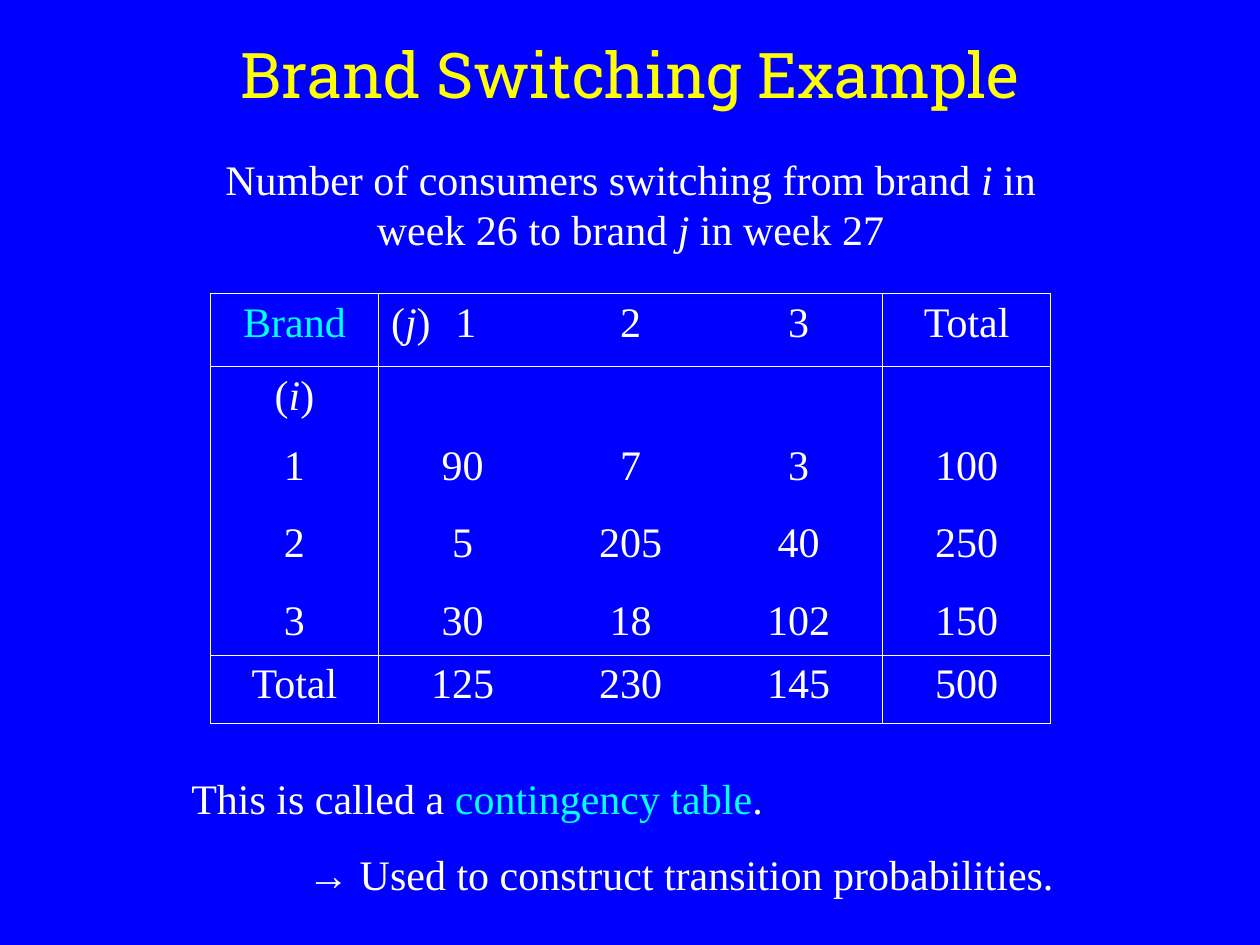
from dataclasses import dataclass

import pptx
import pptx.dml.color
import pptx.enum.text
import pptx.oxml
import pptx.oxml.ns
import pptx.util
from pptx.dml.color import RGBColor
from pptx.util import Inches

BLUE = RGBColor(0x00, 0x00, 0xFF)
YELLOW = RGBColor(0xFF, 0xFF, 0x00)
CYAN = RGBColor(0x00, 0xFF, 0xFF)
WHITE = RGBColor(0xFF, 0xFF, 0xFF)

LEFT = pptx.enum.text.PP_ALIGN.LEFT
CENTER = pptx.enum.text.PP_ALIGN.CENTER
NAMESPACE = pptx.oxml.ns.nsdecls("a")


@dataclass
class Piece:
    text: str
    italic: bool = False
    color: RGBColor = WHITE
    font: str = "Times New Roman"
    size: int = 24


@dataclass
class Line:
    pieces: list[Piece]
    alignment: int = CENTER
    space_before: int = 0
    indent: float = 0
    tab: float = 0


@dataclass
class TextBlock:
    left: float
    top: float
    width: float
    height: float
    lines: list[Line]


CAPTION = TextBlock(1.42, 1.17, 7.17, 0.9, [
    Line([
        Piece("Number of consumers switching from brand "),
        Piece("i", italic=True),
        Piece(" in week 26 to brand "),
        Piece("j", italic=True),
        Piece(" in week 27"),
    ]),
])
CONCLUSION = TextBlock(1.42, 6.08, 7.42, 1.11, [
    Line([
        Piece("This is called a "),
        Piece("contingency table", color=CYAN),
        Piece("."),
    ], LEFT),
    Line([
        Piece("→", font="Arial"),
        Piece(" Used to construct transition probabilities."),
    ], LEFT, space_before=15, indent=0.92),
])

BRAND_HEADER = Line([Piece("Brand", color=CYAN)])
TO_BRAND_HEADER = Line(
    [Piece("("), Piece("j", italic=True), Piece(")\t1")], LEFT, tab=0.51
)
FROM_BRAND_HEADER = Line([Piece("("), Piece("i", italic=True), Piece(")")])
SWITCHING_ROWS = [
    [BRAND_HEADER, TO_BRAND_HEADER, "2", "3", "Total"],
    [FROM_BRAND_HEADER, "", "", "", ""],
    ["1", "90", "7", "3", "100"],
    ["2", "5", "205", "40", "250"],
    ["3", "30", "18", "102", "150"],
    ["Total", "125", "230", "145", "500"],
]
ROW_HEIGHTS = [0.58, 0.56, 0.61, 0.62, 0.5, 0.54]
RULED_COLUMNS = {0, 1, 4, 5}
RULED_ROWS = {0, 1, 5, 6}


def write_line(paragraph, line: Line) -> None:
    properties = paragraph._p.get_or_add_pPr()
    if line.indent:
        properties.set("marL", str(Inches(line.indent)))
    if line.tab:
        properties.append(pptx.oxml.parse_xml(
            f'<a:tabLst {NAMESPACE}><a:tab pos="{Inches(line.tab)}" algn="l"/></a:tabLst>'
        ))
    paragraph.alignment = line.alignment
    paragraph.space_before = pptx.util.Pt(line.space_before)
    for piece in line.pieces:
        run = paragraph.add_run()
        run.text = piece.text
        font_format = {
            "name": piece.font,
            "size": pptx.util.Pt(piece.size),
            "italic": piece.italic,
        }
        for attribute, value in font_format.items():
            setattr(run.font, attribute, value)
        run.font.color.rgb = piece.color


def add_text_block(slide, block: TextBlock) -> None:
    shape = slide.shapes.add_textbox(
        Inches(block.left), Inches(block.top), Inches(block.width), Inches(block.height)
    )
    frame = shape.text_frame
    frame.word_wrap = True
    frame.auto_size = pptx.enum.text.MSO_AUTO_SIZE.SHAPE_TO_FIT_TEXT
    for index, line in enumerate(block.lines):
        paragraph = frame.add_paragraph() if index else frame.paragraphs[0]
        write_line(paragraph, line)


def rule_cell(cell, row: int, column: int) -> None:
    """Draw the cell edges that lie on a ruled row or column boundary."""
    edges = {
        "lnL": column in RULED_COLUMNS,
        "lnR": column + 1 in RULED_COLUMNS,
        "lnT": row in RULED_ROWS,
        "lnB": row + 1 in RULED_ROWS,
    }
    solid = f'<a:solidFill><a:srgbClr val="{WHITE}"/></a:solidFill>'
    properties = cell._tc.get_or_add_tcPr()
    for position, (tag, ruled) in enumerate(edges.items()):
        paint = solid if ruled else "<a:noFill/>"
        properties.insert(position, pptx.oxml.parse_xml(
            f'<a:{tag} {NAMESPACE} w="{pptx.util.Pt(0.45)}">{paint}</a:{tag}>'
        ))


def add_switching_table(slide) -> None:
    table = slide.shapes.add_table(
        len(SWITCHING_ROWS), len(SWITCHING_ROWS[0]),
        Inches(1.67), Inches(2.33), Inches(6.67), Inches(sum(ROW_HEIGHTS)),
    ).table
    table.first_row = False
    table.horz_banding = False
    for row, contents in enumerate(SWITCHING_ROWS):
        table.rows[row].height = Inches(ROW_HEIGHTS[row])
        for column, content in enumerate(contents):
            cell = table.cell(row, column)
            cell.fill.background()
            rule_cell(cell, row, column)
            if content:
                line = Line([Piece(content)]) if isinstance(content, str) else content
                write_line(cell.text_frame.paragraphs[0], line)


def add_title(slide) -> None:
    title = slide.shapes.title
    place = {
        "left": Inches(0.75),
        "top": Inches(0.25),
        "width": Inches(8.5),
        "height": Inches(0.67),
    }
    for attribute, value in place.items():
        setattr(title, attribute, value)
    frame = title.text_frame
    frame.auto_size = pptx.enum.text.MSO_AUTO_SIZE.NONE
    frame.vertical_anchor = pptx.enum.text.MSO_ANCHOR.MIDDLE
    heading = Piece("Brand Switching Example", color=YELLOW, font="Roboto Slab", size=36)
    write_line(frame.paragraphs[0], Line([heading]))


def main() -> None:
    presentation = pptx.Presentation()
    presentation.slide_width = Inches(10)
    presentation.slide_height = Inches(7.5)
    slide = presentation.slides.add_slide(presentation.slide_layouts.get_by_name("Title Only"))
    slide.background.fill.solid()
    slide.background.fill.fore_color.rgb = BLUE
    add_title(slide)
    add_switching_table(slide)
    add_text_block(slide, CAPTION)
    add_text_block(slide, CONCLUSION)
    presentation.save("out.pptx")


if __name__ == "__main__":
    main()
